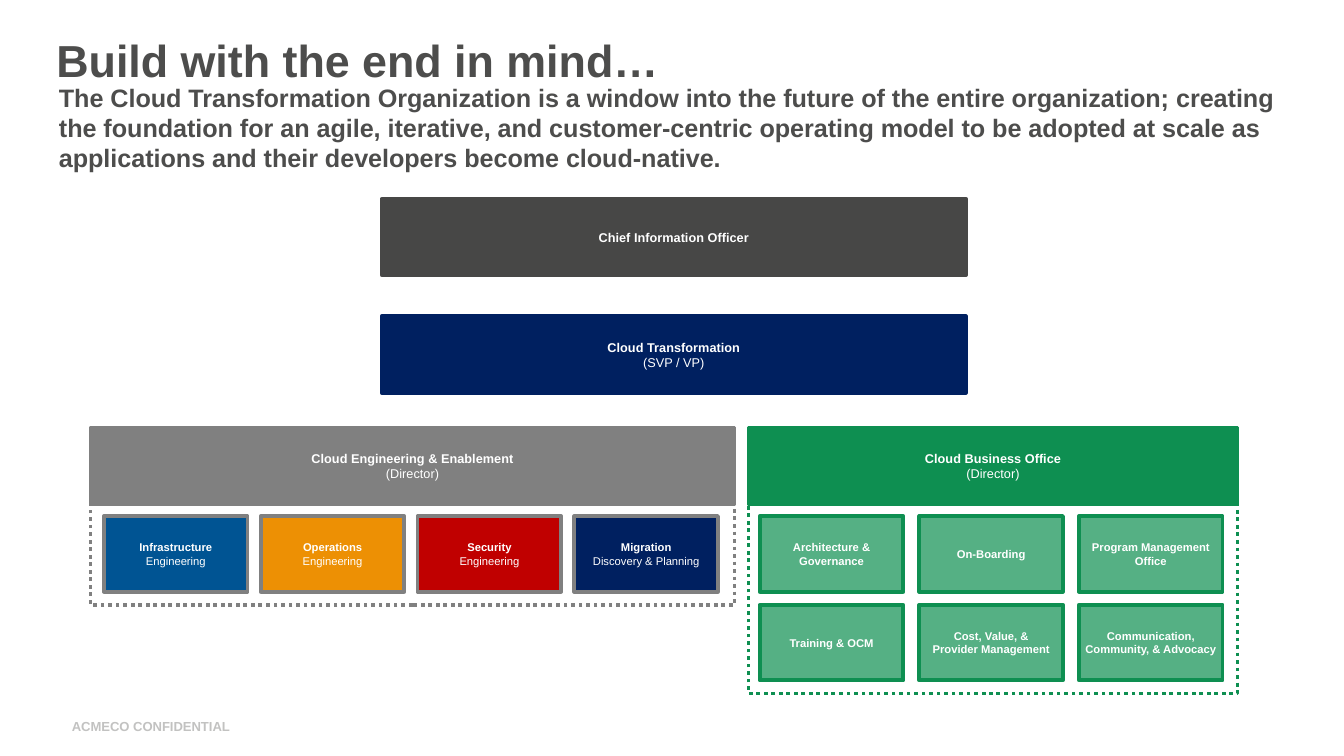
from lxml import etree
from pptx import Presentation
from pptx.dml.color import RGBColor
from pptx.enum.dml import MSO_LINE_DASH_STYLE as Dash
from pptx.enum.shapes import MSO_SHAPE as Shape
from pptx.enum.text import MSO_ANCHOR as Anchor, PP_ALIGN as Align
from pptx.oxml.ns import qn
from pptx.util import Pt

WHITE = RGBColor(0xFF, 0xFF, 0xFF)
INK = RGBColor(0x4D, 0x4D, 0x4C)
PALE = RGBColor(0xC2, 0xC2, 0xC1)
CHARCOAL = RGBColor(0x47, 0x47, 0x46)
NAVY = RGBColor(0x00, 0x20, 0x60)
GRAY = RGBColor(0x80, 0x80, 0x80)
GREEN = RGBColor(0x0E, 0x8F, 0x51)
BLUE = RGBColor(0x00, 0x54, 0x93)
ORANGE = RGBColor(0xED, 0x90, 0x04)
RED = RGBColor(0xC0, 0x00, 0x00)

BAR_HEIGHT = 41
CARD_WIDTH, CARD_HEIGHT = 77, 40.5


def write(shape, text, size, color=WHITE, align=Align.CENTER, anchor=Anchor.MIDDLE,
          insets=(7.2, 3.6, 7.2, 3.6), detail=None, space_after=None):
    """Write bold text, with an optional second paragraph in regular weight."""
    frame = shape.text_frame
    frame.word_wrap = True
    frame.vertical_anchor = anchor
    (frame.margin_left, frame.margin_top,
     frame.margin_right, frame.margin_bottom) = map(Pt, insets)
    lines = [(text, True)] + ([(detail, False)] if detail else [])
    for index, (line, bold) in enumerate(lines):
        paragraph = frame.add_paragraph() if index else frame.paragraphs[0]
        paragraph.alignment = align
        if space_after is not None:
            paragraph.space_after = Pt(space_after)
        run = paragraph.add_run()
        run.text = line
        run.font.name = "Arial"
        run.font.size = Pt(size)
        run.font.bold = bold
        run.font.color.rgb = color


def add_box(slide, box, line, fill=None, opacity=None, dash=None):
    shape = slide.shapes.add_shape(Shape.RECTANGLE, *map(Pt, box))
    shape.shadow.inherit = False
    shape.line.color.rgb = line
    shape.line.width = Pt(2)
    if dash is not None:
        shape.line.dash_style = dash
    if fill is None:
        shape.fill.background()
        return shape
    shape.fill.solid()
    shape.fill.fore_color.rgb = fill
    if opacity is not None:
        color = shape.fill._xPr.find(qn("a:solidFill"))[0]
        etree.SubElement(color, qn("a:alpha")).set("val", str(opacity * 1000))
    return shape


def add_heading(slide, box):
    """Title with the subtitle below it."""
    left, top, width, height = box
    title = slide.shapes.title
    title.left, title.top, title.width, title.height = map(Pt, (left, top, width - 26, 34.5))
    write(title, "Build with the end in mind…", 24, INK, Align.LEFT, Anchor.BOTTOM,
          insets=(7.2, 0, 7.2, 1))
    subtitle = slide.shapes.add_textbox(*map(Pt, (left + 3.6, top + 28, width - 3.6, height - 28)))
    write(subtitle, "The Cloud Transformation Organization is a window into the future of the "
          "entire organization; creating the foundation for an agile, iterative, and "
          "customer-centric operating model to be adopted at scale as applications and their "
          "developers become cloud-native.", 13.5, INK, Align.LEFT, Anchor.TOP,
          insets=(5, 3, 5, 3), space_after=9)


def add_bar(slide, box, color, name, detail=None):
    write(add_box(slide, box, color, color), name, 6.8, detail=detail)


def add_department(slide, box, color, name, cards, columns, start, pitch, opacity=None):
    """Dotted frame, header bar and a grid of team cards."""
    left, top, width, height = box
    add_box(slide, box, color, dash=Dash.ROUND_DOT)
    add_bar(slide, (left, top, width, BAR_HEIGHT), color, name, "(Director)")
    for index, (fill, team, detail, inset) in enumerate(cards):
        row, column = divmod(index, columns)
        card_box = (left + start + column * pitch, top + 47.5 + row * 47.5,
                    CARD_WIDTH, CARD_HEIGHT)
        card = add_box(slide, card_box, color, fill, opacity)
        write(card, team, 6, detail=detail, insets=(inset, 3.6, inset, 3.6))


def add_footer(slide, box):
    footer = slide.shapes.add_textbox(*map(Pt, box))
    write(footer, "ACMECO CONFIDENTIAL", 7, PALE, Align.LEFT, Anchor.TOP, insets=(0, 0, 0, 0))


def main():
    presentation = Presentation()
    presentation.slide_width, presentation.slide_height = Pt(720), Pt(405)
    slide = presentation.slides.add_slide(presentation.slide_layouts[5])

    add_heading(slide, (23, 13, 672.5, 87))

    # Leadership
    add_bar(slide, (204.5, 106.5, 313, BAR_HEIGHT), CHARCOAL, "Chief Information Officer")
    add_bar(slide, (204.5, 169.5, 313, BAR_HEIGHT), NAVY, "Cloud Transformation", "(SVP / VP)")

    # Departments: fill, team, detail, side inset of each card
    engineering = [
        (BLUE, "Infrastructure", "Engineering", 6),
        (ORANGE, "Operations", "Engineering", 6),
        (RED, "Security", "Engineering", 6),
        (NAVY, "Migration", "Discovery & Planning", 6),
    ]
    business = [
        (GREEN, "Architecture & Governance", None, 6),
        (GREEN, "On-Boarding", None, 6),
        (GREEN, "Program Management Office", None, 6),
        (GREEN, "Training & OCM", None, 6),
        (GREEN, "Cost, Value, & Provider Management", None, 6),
        (GREEN, "Communication, Community, & Advocacy", None, 0),
    ]
    add_department(slide, (48.5, 229, 345, 95), GRAY, "Cloud Engineering & Enablement",
                   engineering, columns=4, start=7.2, pitch=84)
    add_department(slide, (401, 229, 262, 142.5), GREEN, "Cloud Business Office",
                   business, columns=3, start=6, pitch=85.5, opacity=70)

    add_footer(slide, (38.5, 385, 238, 9))
    presentation.save("out.pptx")


if __name__ == "__main__":
    main()
